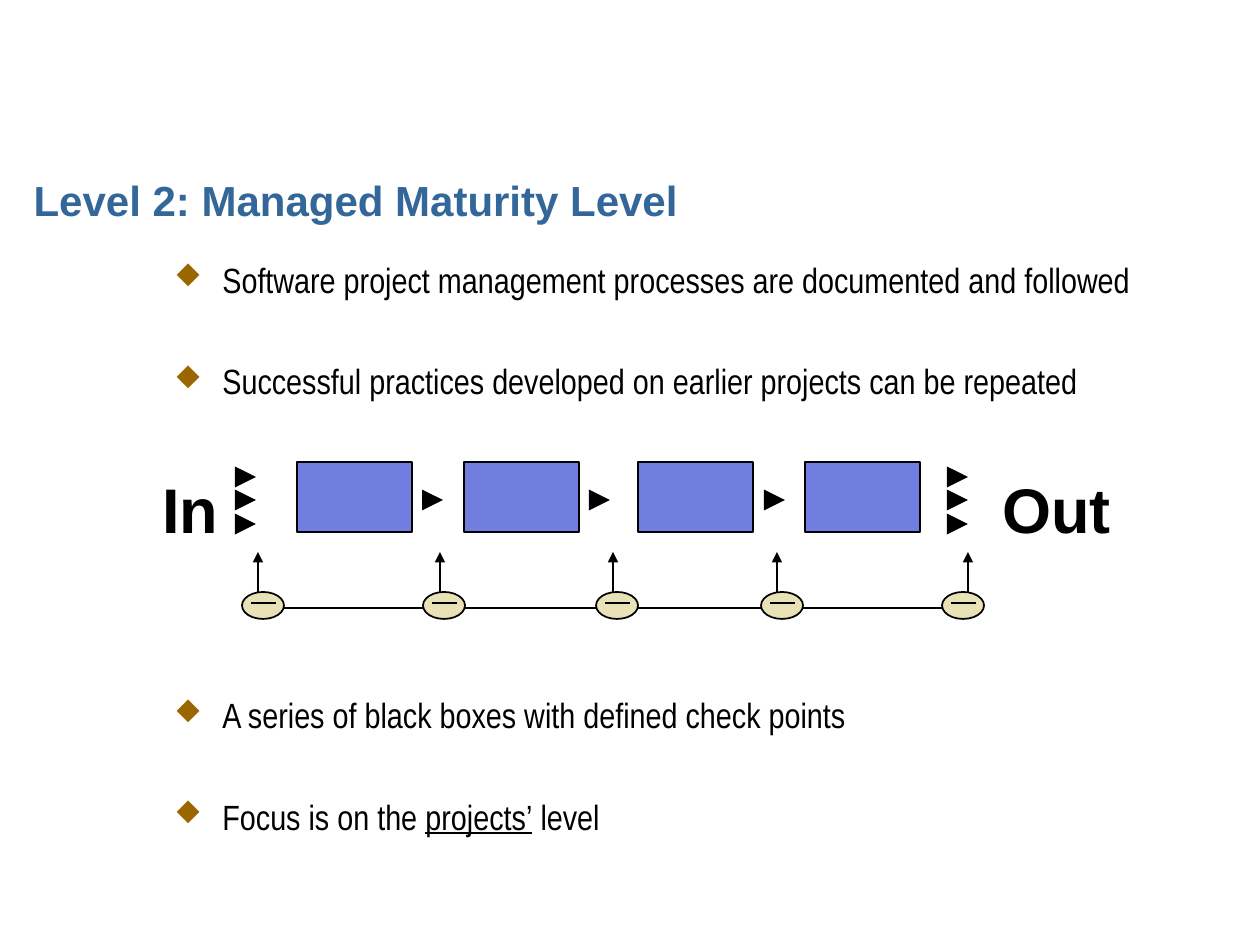
"""Build the slide on the managed maturity level, with its chain of checked boxes."""
from dataclasses import dataclass
from typing import Any

import pptx
import pptx.dml.color
import pptx.enum.shapes
import pptx.enum.text
import pptx.oxml
import pptx.oxml.ns
import pptx.util

SCALE = 914400 / 126


@dataclass(frozen=True)
class Theme:
    """Hold the colours, fonts and sizes of the slide."""
    title: str = "336699"
    ink: str = "000000"
    box: str = "727DE0"
    check: str = "E9E2B6"
    bullet: str = "996600"
    sans: str = "Arial"
    narrow: str = "Arial Narrow"
    symbol: str = "Wingdings"
    diamond: str = "u"
    head: int = 24
    body: int = 20
    label: int = 36
    thin: int = 1
    thick: int = 4


@dataclass(frozen=True)
class Area:
    """Give a place and size in px."""
    left: int
    top: int
    width: int
    height: int


@dataclass(frozen=True)
class Check:
    """Give the left edge of a check point and the x of its arrow."""
    left: int
    stem: int


@dataclass(frozen=True)
class Point:
    """Give the runs of a bullet, the underlined one marked, and the space before."""
    runs: tuple[tuple[str, bool], ...]
    before: int


THEME = Theme()
TITLE = Area(21, 168, 1218, 63)
BODY = Area(162, 252, 1071, 620)
LABELS = (("In", Area(150, 464, 81, 88)), ("Out", Area(990, 464, 134, 88)))
BOXES = (297, 464, 638, 805)
ENDS = (256, 968)
LINKS = (443, 610, 785)
ROWS = (477, 500, 524)
CHECKS = (Check(242, 258), Check(423, 440), Check(596, 613),
          Check(761, 777), Check(942, 968))
POINTS = (
    Point((("Software project management processes are documented and followed", False),), 5),
    Point((("Successful practices developed on earlier projects can be repeated", False),), 34),
    Point((("A series of black boxes with defined check points", False),), 167),
    Point((("Focus is on the ", False), ("projects’", True), (" level", False)), 34),
)


def px(size: float) -> pptx.util.Emu:
    """Turn px into EMU."""
    return pptx.util.Emu(round(size * SCALE))


def rgb(code: str) -> pptx.dml.color.RGBColor:
    """Turn a hex code into a colour."""
    return pptx.dml.color.RGBColor.from_string(code)


def place(area: Area) -> tuple[pptx.util.Emu, ...]:
    """Turn an area into left, top, width and height."""
    return px(area.left), px(area.top), px(area.width), px(area.height)


def node(tag: str, **attrs: str) -> Any:
    """Make a drawing element with its attributes."""
    item = pptx.oxml.parse_xml(f"<a:{tag} {pptx.oxml.ns.nsdecls('a')}/>")
    for name, value in attrs.items():
        item.set(name, value)
    return item


def write(para: Any, text: str, *, font: str, size: int, color: str,
          bold: bool = False, under: bool = False) -> None:
    """Add a run of formatted text to a paragraph."""
    run = para.add_run()
    run.text = text
    run.font.name = font
    run.font.size = pptx.util.Pt(size)
    run.font.color.rgb = rgb(color)
    run.font.bold = bold
    run.font.underline = under


def mark(para: Any) -> None:
    """Give a paragraph a hanging diamond bullet from the symbol font."""
    props = para._p.get_or_add_pPr()
    props.set("marL", str(px(48)))
    props.set("indent", str(-px(48)))
    tint = node("buClr")
    tint.append(node("srgbClr", val=THEME.bullet))
    props.extend((tint, node("buSzPct", val="80000"),
                  node("buFont", typeface=THEME.symbol, pitchFamily="2", charset="2"),
                  node("buChar", char=THEME.diamond)))


def form(slide: Any, kind: Any, area: Area, fill: str) -> None:
    """Draw a filled shape with a thin outline."""
    shape = slide.shapes.add_shape(kind, *place(area))
    shape.shadow.inherit = False
    shape.fill.solid()
    shape.fill.fore_color.rgb = rgb(fill)
    shape.line.color.rgb = rgb(THEME.ink)
    shape.line.width = pptx.util.Pt(THEME.thin)


def line(slide: Any, start: tuple[int, int], end: tuple[int, int], *,
         width: int = THEME.thin, arrow: bool = False) -> None:
    """Draw a straight line, with an arrowhead at its end if asked."""
    item = slide.shapes.add_connector(
        pptx.enum.shapes.MSO_CONNECTOR.STRAIGHT, *map(px, start + end))
    item.line.color.rgb = rgb(THEME.ink)
    item.line.width = pptx.util.Pt(width)
    if arrow:
        item.line._get_or_add_ln().append(node("tailEnd", type="triangle"))
    item._element.spPr.append(node("effectLst"))


def title(slide: Any) -> None:
    """Fill and place the title."""
    shape = slide.shapes.title
    shape.left, shape.top, shape.width, shape.height = place(TITLE)
    frame = shape.text_frame
    frame.auto_size = pptx.enum.text.MSO_AUTO_SIZE.NONE
    frame.vertical_anchor = pptx.enum.text.MSO_ANCHOR.MIDDLE
    para = frame.paragraphs[0]
    para.alignment = pptx.enum.text.PP_ALIGN.LEFT
    write(para, "Level 2: Managed Maturity Level", font=THEME.sans,
          size=THEME.head, color=THEME.title, bold=True)


def points(slide: Any) -> None:
    """Write the bullets above and below the chain."""
    frame = slide.shapes.add_textbox(*place(BODY)).text_frame
    frame.word_wrap = True
    for index, point in enumerate(POINTS):
        para = frame.add_paragraph() if index else frame.paragraphs[0]
        para.space_before = pptx.util.Pt(point.before)
        mark(para)
        for text, under in point.runs:
            write(para, text, font=THEME.narrow, size=THEME.body,
                  color=THEME.ink, under=under)


def chain(slide: Any) -> None:
    """Draw the boxes, the arrows between them and the two labels."""
    for left in BOXES:
        form(slide, pptx.enum.shapes.MSO_SHAPE.RECTANGLE,
             Area(left, 462, 115, 70), THEME.box)
    tips = [(x, y) for x in ENDS for y in ROWS] + [(x, ROWS[1]) for x in LINKS]
    for x, y in tips:
        line(slide, (x - 3, y), (x, y), width=THEME.thick, arrow=True)
    for text, area in LABELS:
        frame = slide.shapes.add_textbox(*place(area)).text_frame
        frame.word_wrap = False
        write(frame.paragraphs[0], text, font=THEME.sans, size=THEME.label,
              color=THEME.ink, bold=True)


def checks(slide: Any) -> None:
    """Draw the line of check points with their arrows."""
    line(slide, (270, 608), (959, 608))
    for check in CHECKS:
        line(slide, (check.stem, 601), (check.stem, 552), arrow=True)
        form(slide, pptx.enum.shapes.MSO_SHAPE.OVAL,
             Area(check.left, 592, 42, 27), THEME.check)
        line(slide, (check.left + 9, 603), (check.left + 34, 603))


def main() -> None:
    """Build and save the slide."""
    deck = pptx.Presentation()
    deck.slide_width, deck.slide_height = px(1260), px(945)
    slide = deck.slides.add_slide(deck.slide_layouts[5])
    title(slide)
    points(slide)
    chain(slide)
    checks(slide)
    deck.save("out.pptx")


if __name__ == "__main__":
    main()
